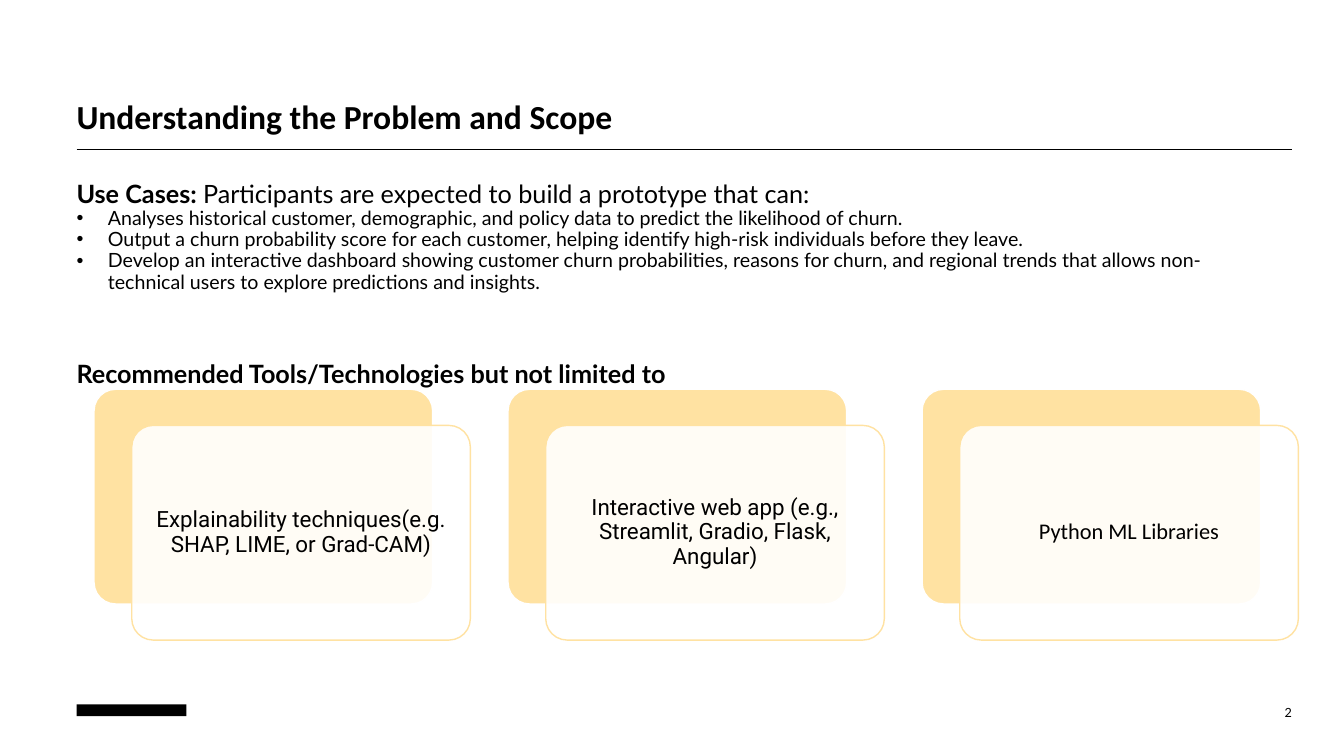
from lxml.etree import SubElement
from pptx import Presentation
from pptx.dml.color import RGBColor
from pptx.enum.shapes import MSO_CONNECTOR as Connector, MSO_SHAPE as Preset
from pptx.enum.text import MSO_ANCHOR as Anchor, PP_ALIGN as Align
from pptx.oxml.ns import qn
from pptx.util import Cm, Pt

COLORS = {"ink": "000000", "paper": "FFFFFF", "amber": "FFE2A2"}
LEFT, RIGHT = 1.93, 32.56

USE_CASES = [
    "Analyses historical customer, demographic, and policy data to predict the likelihood of churn.",
    "Output a churn probability score for each customer, helping identify high-risk individuals before they leave.",
    "Develop an interactive dashboard showing customer churn probabilities, reasons for churn, and regional trends "
    "that allows non-technical users to explore predictions and insights.",
]
TOOLS = [
    ("Explainability techniques(e.g. SHAP, LIME, or Grad-CAM)", "Roboto"),
    ("Interactive web app (e.g., Streamlit, Gradio, Flask, Angular)", "Roboto"),
    ("Python ML Libraries", "Calibri"),
]


def color(name):
    return RGBColor.from_string(COLORS[name])


def prepare_frame(shape, anchor, inset=0):
    frame = shape.text_frame
    frame.word_wrap = True
    frame.vertical_anchor = anchor
    frame.margin_left = frame.margin_right = Cm(inset)
    frame.margin_top = frame.margin_bottom = Cm(inset)
    return frame


def add_text_box(slide, box, anchor):
    return prepare_frame(slide.shapes.add_textbox(*map(Cm, box)), anchor)


def add_run(paragraph, text, size, font="Lato", bold=False):
    run = paragraph.add_run()
    run.text = text
    run.font.size = Pt(size)
    run.font.name = font
    run.font.bold = bold
    run.font.color.rgb = color("ink")


def add_heading(slide, box, text, size, font):
    paragraph = add_text_box(slide, box, Anchor.BOTTOM).paragraphs[0]
    paragraph.line_spacing = 0.9
    add_run(paragraph, text, size, font, bold=True)


def add_rule(slide, left, right, top):
    line = slide.shapes.add_connector(Connector.STRAIGHT, Cm(left), Cm(top), Cm(right), Cm(top))
    line.line.color.rgb = color("ink")
    line.line.width = Pt(1)
    SubElement(line._element.spPr, qn("a:effectLst"))


def add_use_cases(slide, box):
    frame = add_text_box(slide, box, Anchor.TOP)
    intro = frame.paragraphs[0]
    intro.line_spacing = 0.9
    add_run(intro, "Use Cases: ", 18, bold=True)
    add_run(intro, "Participants are expected to build a prototype that can:", 18)
    for use_case in USE_CASES:
        paragraph = frame.add_paragraph()
        paragraph.line_spacing = 0.9
        properties = paragraph._p.get_or_add_pPr()
        properties.set("marL", str(Cm(0.79)))
        properties.set("indent", str(-Cm(0.79)))
        SubElement(properties, qn("a:buFont"), typeface="Arial")
        SubElement(properties, qn("a:buChar"), char="•")
        add_run(paragraph, use_case, 14)


def add_panel(slide, box, preset, fill, outline=None):
    panel = slide.shapes.add_shape(preset, *map(Cm, box))
    panel.shadow.inherit = False
    panel.fill.solid()
    panel.fill.fore_color.rgb = color(fill)
    if outline:
        panel.adjustments[0] = 0.1
        panel.line.color.rgb = color(outline)
        panel.line.width = Pt(1)
    else:
        panel.line.fill.background()
    return panel


def add_tool_card(slide, box, text, font):
    left, top, width, height = box
    shift_x, shift_y = 0.95, 0.91
    size = (width - shift_x, height - shift_y)
    add_panel(slide, (left, top, *size), Preset.ROUNDED_RECTANGLE, "amber", "paper")
    front = add_panel(slide, (left + shift_x, top + shift_y, *size),
                      Preset.ROUNDED_RECTANGLE, "paper", "amber")
    fill_color = front._element.spPr.find(qn("a:solidFill")).find(qn("a:srgbClr"))
    SubElement(fill_color, qn("a:alpha"), val="90000")
    paragraph = prepare_frame(front, Anchor.MIDDLE, 0.18).paragraphs[0]
    paragraph.alignment = Align.CENTER
    paragraph.line_spacing = 0.9
    add_run(paragraph, text, 16, font)


def add_tools(slide, box):
    left, top, width, height = box
    gap = 0.95
    card_width = (width - gap * (len(TOOLS) - 1)) / len(TOOLS)
    for index, (text, font) in enumerate(TOOLS):
        card_left = left + index * (card_width + gap)
        add_tool_card(slide, (card_left, top, card_width, height), text, font)


def add_footer(slide, box):
    left, top, width, height = box
    add_panel(slide, (left, top, 2.77, 0.3), Preset.RECTANGLE, "ink")
    number_width = 1.37
    number_box = (left + width - number_width, top, number_width, height)
    paragraph = add_text_box(slide, number_box, Anchor.MIDDLE).paragraphs[0]
    paragraph.alignment = Align.RIGHT
    add_run(paragraph, "2", 9)


def main():
    presentation = Presentation()
    presentation.slide_width = Cm(33.87)
    presentation.slide_height = Cm(19.05)
    slide = presentation.slides.add_slide(presentation.slide_layouts[6])
    add_rule(slide, LEFT, RIGHT, 3.76)
    add_footer(slide, (LEFT, 17.75, RIGHT - LEFT, 0.38))
    add_use_cases(slide, (LEFT, 4.57, 29.59, 5.89))
    add_heading(slide, (LEFT, 0.99, 22.48, 2.46), "Understanding the Problem and Scope", 24, "Calibri")
    add_tools(slide, (2.37, 9.81, 30.35, 6.32))
    add_heading(slide, (LEFT, 8, 22.48, 1.8), "Recommended Tools/Technologies but not limited to", 18, "Lato")
    presentation.save("out.pptx")


if __name__ == "__main__":
    main()
